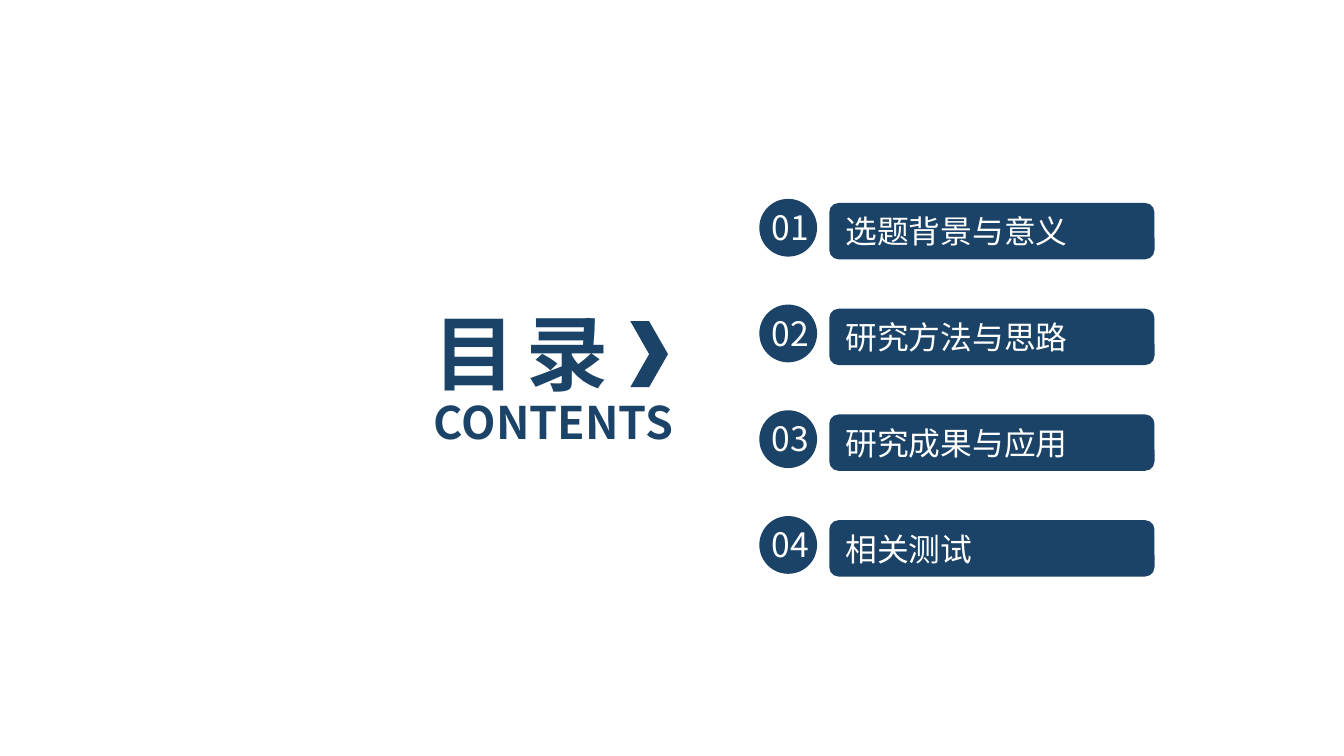
import pptx
import pptx.dml.color
import pptx.enum.shapes
import pptx.enum.text
import pptx.oxml.ns
import pptx.util
from lxml import etree

COLORS = {"navy": "1B4367", "white": "FFFFFF"}
FONT = "Noto Sans CJK SC"
SLIDE_WIDTH = 10
SLIDE_SIZE = (SLIDE_WIDTH, SLIDE_WIDTH * 9 / 16)

CHAPTERS = ["选题背景与意义", "研究方法与思路", "研究成果与应用", "相关测试"]
HEADINGS = [
    {"text": "目 录", "box": (3.13, 2.2, 2.35, 0.83), "size": 44, "spacing": -220},
    {"text": "CONTENTS", "box": (3.13, 2.89, 2.31, 0.5), "size": 24, "spacing": 0},
]
CHEVRON_BOX = (4.69, 2.39, 0.28, 0.49)

ROW_TOP, ROW_BOTTOM = 1.48, 3.84
ROW_PITCH = (ROW_BOTTOM - ROW_TOP) / (len(CHAPTERS) - 1)
BAR = (6.17, 0.03, 2.42, 0.42)
BADGE = (5.65, 0, 0.43, 0.43)
NUMBER = (5.62, 0.01, 0.52, 0.4)

SHAPES = pptx.enum.shapes.MSO_SHAPE
ALIGN = pptx.enum.text.PP_ALIGN
ANCHOR = pptx.enum.text.MSO_ANCHOR


def inches(box):
    return [pptx.util.Inches(length) for length in box]


def in_row(box, row):
    left, offset, width, height = box
    return left, ROW_TOP + row * ROW_PITCH + offset, width, height


def add_block(shapes, kind, box, adjustment=None):
    shape = shapes.add_shape(kind, *inches(box))
    shape.shadow.inherit = False
    shape.fill.solid()
    shape.fill.fore_color.rgb = pptx.dml.color.RGBColor.from_string(COLORS["navy"])
    shape.line.fill.background()
    if adjustment is not None:
        shape.adjustments[0] = adjustment
    return shape


def write(shape, text, size, color, align=ALIGN.LEFT, bold=False, spacing=0):
    frame = shape.text_frame
    frame.word_wrap = True
    frame.vertical_anchor = ANCHOR.MIDDLE
    paragraph = frame.paragraphs[0]
    paragraph.alignment = align
    run = paragraph.add_run()
    run.text = text
    font_format = {"name": FONT, "size": pptx.util.Pt(size), "bold": bold}
    for attribute, value in font_format.items():
        setattr(run.font, attribute, value)
    run.font.color.rgb = pptx.dml.color.RGBColor.from_string(COLORS[color])
    properties = run.font._element
    etree.SubElement(properties, pptx.oxml.ns.qn("a:ea"), typeface=FONT)
    if spacing:
        properties.set("spc", str(spacing))


def add_chapter(slide, row, title):
    bar = add_block(slide.shapes, SHAPES.ROUNDED_RECTANGLE, in_row(BAR, row), 0.167)
    write(bar, title, 17, "white")
    group = slide.shapes.add_group_shape()
    add_block(group.shapes, SHAPES.OVAL, in_row(BADGE, row))
    number = group.shapes.add_textbox(*inches(in_row(NUMBER, row)))
    write(number, f"{row + 1:02d}", 18, "white", ALIGN.CENTER)


def main():
    presentation = pptx.Presentation()
    presentation.slide_width, presentation.slide_height = inches(SLIDE_SIZE)
    slide = presentation.slides.add_slide(presentation.slide_layouts[6])
    for heading in HEADINGS:
        textbox = slide.shapes.add_textbox(*inches(heading["box"]))
        write(textbox, heading["text"], heading["size"], "navy",
              bold=True, spacing=heading["spacing"])
    for row, title in enumerate(CHAPTERS):
        add_chapter(slide, row, title)
    add_block(slide.shapes, SHAPES.CHEVRON, CHEVRON_BOX, 0.5)
    presentation.save("out.pptx")


if __name__ == "__main__":
    main()
